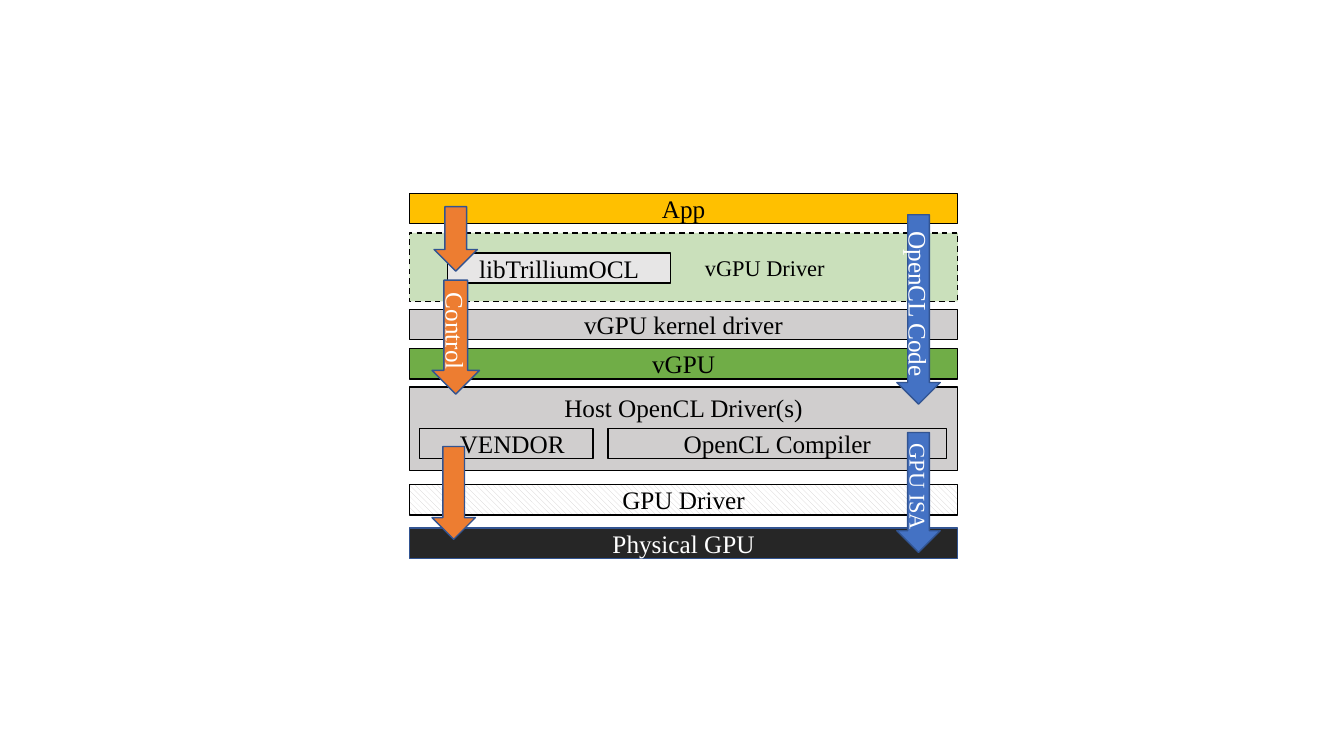
from lxml.etree import SubElement
from pptx import Presentation
from pptx.dml.color import RGBColor
from pptx.enum.dml import MSO_LINE, MSO_PATTERN
from pptx.enum.shapes import MSO_SHAPE
from pptx.enum.text import MSO_ANCHOR, PP_ALIGN
from pptx.oxml.ns import qn
from pptx.util import Inches, Pt

BLACK = RGBColor(0x00, 0x00, 0x00)
WHITE = RGBColor(0xFF, 0xFF, 0xFF)
GOLD = RGBColor(0xFF, 0xC0, 0x00)
GREEN = RGBColor(0x70, 0xAD, 0x47)
PALE = RGBColor(0xE7, 0xE6, 0xE6)
GRAY = RGBColor(0xD0, 0xCE, 0xCE)
DARK = RGBColor(0x26, 0x26, 0x26)
BLUE = RGBColor(0x44, 0x72, 0xC4)
NAVY = RGBColor(0x32, 0x54, 0x91)
ORANGE = RGBColor(0xED, 0x7D, 0x31)

FONT = "Times New Roman"
LEFT, WIDTH, ROW = 4.06, 5.44, 0.3


def add_label(shape, text, size, color):
    frame = shape.text_frame
    frame.word_wrap = True
    frame.vertical_anchor = MSO_ANCHOR.MIDDLE
    para = frame.paragraphs[0]
    para.alignment = PP_ALIGN.CENTER
    run = para.add_run()
    run.text = text
    run.font.name = FONT
    run.font.size = Pt(size)
    run.font.color.rgb = color


def add_solid(slide, kind, box, fill, line):
    shape = slide.shapes.add_shape(kind, *map(Inches, box))
    shape.shadow.inherit = False
    shape.fill.solid()
    shape.fill.fore_color.rgb = fill
    shape.line.color.rgb = line
    shape.line.width = Pt(1)
    return shape


def add_box(slide, text, top, fill, left=LEFT, width=WIDTH, height=ROW,
            size=18, color=BLACK, line=BLACK, inset=0.1):
    """Add a labelled layer; a larger left inset moves its label right."""
    shape = add_solid(slide, MSO_SHAPE.RECTANGLE,
                      (left, top, width, height), fill, line)
    add_label(shape, text, size, color)
    shape.text_frame.margin_left = Inches(inset)
    return shape


def add_arrow(slide, mid, top, length, fill, text="", size=18, breadth=0.43):
    """Add a right arrow turned to point down, centred on x = mid."""
    box = (mid - length / 2, top + (length - breadth) / 2, length, breadth)
    shape = add_solid(slide, MSO_SHAPE.RIGHT_ARROW, box, fill, NAVY)
    shape.rotation = 90
    if text:
        add_label(shape, text, size, WHITE)
        shape.text_frame.margin_left = shape.text_frame.margin_right = 0


def set_alpha(shape, percent):
    color = shape.fill._xPr.find(qn("a:solidFill"))[0]
    SubElement(color, qn("a:alpha")).set("val", str(percent * 1000))


def set_hatch(shape, fore, back):
    shape.fill.patterned()
    shape.fill.pattern = MSO_PATTERN.WIDE_DOWNWARD_DIAGONAL
    shape.fill.fore_color.rgb = fore
    shape.fill.back_color.rgb = back


def add_layers(slide):
    add_box(slide, "App", 1.92, GOLD)
    guest = add_box(slide, "vGPU Driver", 2.31, GREEN, height=0.68,
                    size=16, inset=1.71)
    set_alpha(guest, 37)
    guest.line.dash_style = MSO_LINE.DASH
    add_box(slide, "libTrilliumOCL", 2.51, PALE, left=4.44, width=2.21)
    add_box(slide, "vGPU kernel driver", 3.07, GRAY)
    add_box(slide, "vGPU", 3.46, GREEN)
    host = add_box(slide, "Host OpenCL Driver(s)", 3.84, GRAY, height=0.83)
    host.text_frame.vertical_anchor = MSO_ANCHOR.TOP
    add_box(slide, "VENDOR", 4.25, GRAY, left=4.16, width=1.72, inset=0.22)
    add_box(slide, "OpenCL Compiler", 4.25, GRAY, left=6.03, width=3.36)
    set_hatch(add_box(slide, "GPU Driver", 4.81, WHITE), GRAY, WHITE)
    add_box(slide, "Physical GPU", 5.24, DARK, color=WHITE, line=NAVY)


def add_flows(slide):
    add_arrow(slide, 9.11, 2.13, 1.88, BLUE, "OpenCL Code")
    add_arrow(slide, 4.52, 2.78, 1.13, ORANGE, "Control", breadth=0.47)
    add_arrow(slide, 4.52, 2.05, 0.64, ORANGE)
    add_arrow(slide, 4.5, 4.43, 0.92, ORANGE)
    add_arrow(slide, 9.11, 4.29, 1.19, BLUE, "GPU ISA", size=16)


def main():
    deck = Presentation()
    deck.slide_width = Inches(13.33)
    deck.slide_height = Inches(7.5)
    slide = deck.slides.add_slide(deck.slide_layouts[6])
    add_layers(slide)
    add_flows(slide)
    deck.save("out.pptx")


if __name__ == "__main__":
    main()
